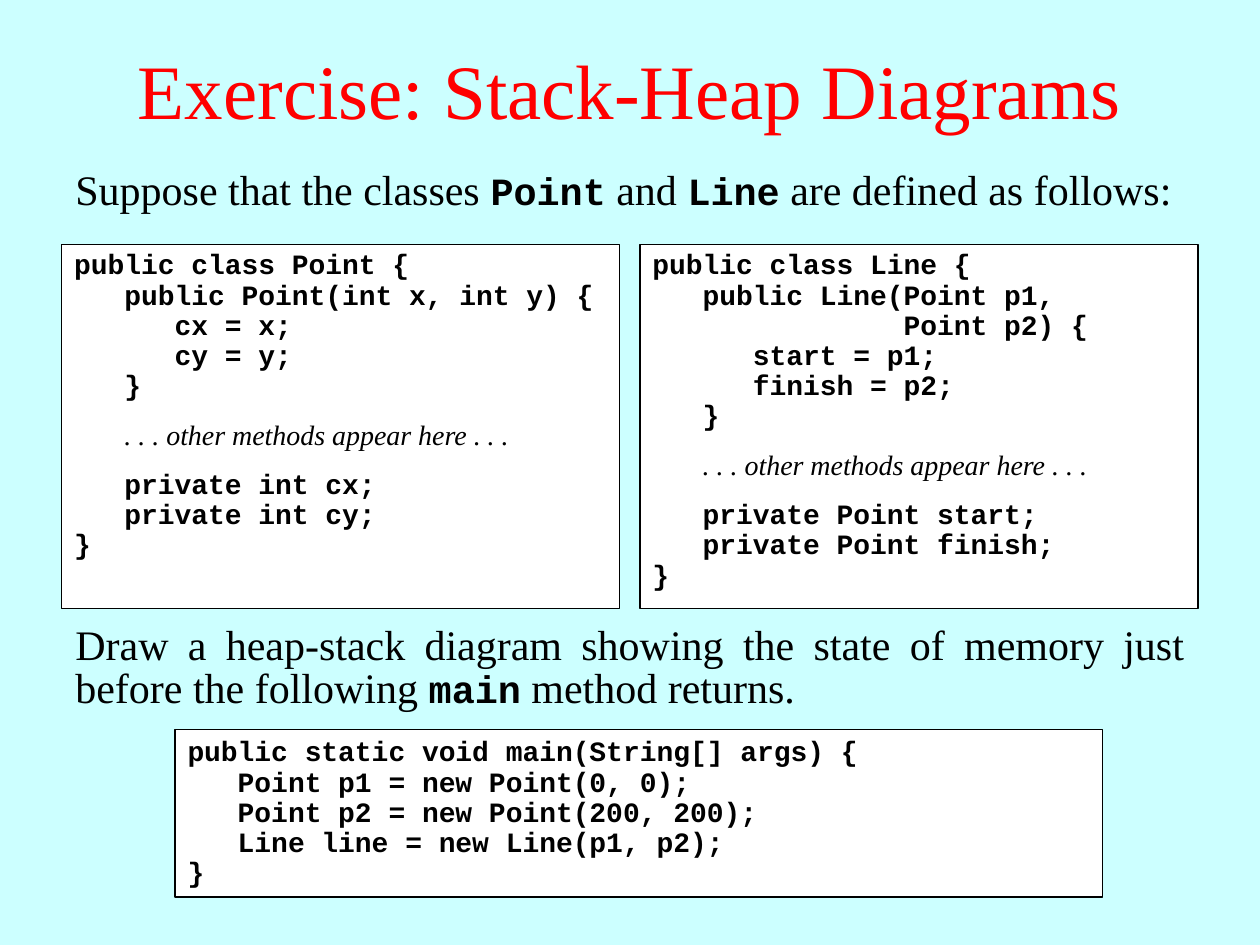
from pptx import Presentation
from pptx import util as u
from pptx.dml.color import RGBColor
from pptx.enum import shapes, text

SERIF, MONO = "Times New Roman", "Courier New"
BLACK, WHITE, RED, PALE_CYAN = "000000", "FFFFFF", "FF0000", "CCFFFF"
ELLIPSIS = ". . . other methods appear here . . ."

POINT_CLASS = """public class Point {
   public Point(int x, int y) {
      cx = x;
      cy = y;
   }
   . . . other methods appear here . . .
   private int cx;
   private int cy;
}"""

LINE_CLASS = """public class Line {
   public Line(Point p1,
               Point p2) {
      start = p1;
      finish = p2;
   }
   . . . other methods appear here . . .
   private Point start;
   private Point finish;
}"""

MAIN_METHOD = """public static void main(String[] args) {
   Point p1 = new Point(0, 0);
   Point p2 = new Point(200, 200);
   Line line = new Line(p1, p2);
}"""


def color(value):
    """Turn a hex string into a colour."""
    return RGBColor.from_string(value)


def set_font(font, name, size, bold=False, fill=BLACK):
    """Set face, size, weight and colour of a font."""
    font.name, font.size, font.bold = name, u.Pt(size), bold
    font.color.rgb = color(fill)


def add_text_box(slide, box, anchor):
    """Add a wrapping text box and return its text frame."""
    frame = slide.shapes.add_textbox(*map(u.Inches, box)).text_frame
    frame.word_wrap = True
    frame.vertical_anchor = anchor
    return frame


def add_title(slide, box, title):
    """Place the centred red title in the box."""
    paragraph = add_text_box(slide, box, text.MSO_ANCHOR.MIDDLE).paragraphs[0]
    paragraph.text = title
    paragraph.alignment = text.PP_ALIGN.CENTER
    set_font(paragraph.font, SERIF, 44, fill=RED)


def add_prose(slide, box, parts, spacing=1.0):
    """Place a justified paragraph whose odd parts are code words."""
    paragraph = add_text_box(slide, box, text.MSO_ANCHOR.TOP).paragraphs[0]
    paragraph.alignment = text.PP_ALIGN.JUSTIFY
    paragraph.line_spacing = spacing
    for index, part in enumerate(parts):
        run = paragraph.add_run()
        run.text = part
        if index % 2:
            set_font(run.font, MONO, 22, bold=True)
        else:
            set_font(run.font, SERIF, 24)


def add_code(slide, box, code, anchor=text.MSO_ANCHOR.TOP):
    """Place a framed white panel with one paragraph per code line."""
    shape = slide.shapes.add_shape(shapes.MSO_SHAPE.RECTANGLE, *map(u.Inches, box))
    shape.shadow.inherit = False
    shape.fill.solid()
    shape.fill.fore_color.rgb = color(WHITE)
    shape.line.color.rgb = color(BLACK)
    shape.line.width = u.Pt(0.75)
    frame = shape.text_frame
    frame.word_wrap = True
    frame.vertical_anchor = anchor
    for index, line in enumerate(code.split("\n")):
        paragraph = frame.add_paragraph() if index else frame.paragraphs[0]
        paragraph.alignment = text.PP_ALIGN.LEFT
        paragraph.line_spacing = 0.9
        set_font(paragraph.font, MONO, 16, bold=True)
        if ELLIPSIS in line:
            paragraph.space_before = paragraph.space_after = u.Pt(11)
            indent, remark = paragraph.add_run(), paragraph.add_run()
            indent.text = line.replace(ELLIPSIS, "")
            set_font(indent.font, MONO, 16, bold=True)
            remark.text = ELLIPSIS
            set_font(remark.font, SERIF, 16)
            remark.font.italic = True
        else:
            paragraph.text = line


def add_class_panels(slide, box, classes, gap):
    """Place the class definitions side by side in equal columns."""
    left, top, width, height = box
    column = (width - gap * (len(classes) - 1)) / len(classes)
    for index, code in enumerate(classes):
        add_code(slide, (left + index * (column + gap), top, column, height), code)


def main():
    """Build the slide and save it."""
    presentation = Presentation()
    presentation.slide_width, presentation.slide_height = u.Inches(10), u.Inches(7.5)
    slide = presentation.slides.add_slide(presentation.slide_layouts[6])
    slide.background.fill.solid()
    slide.background.fill.fore_color.rgb = color(PALE_CYAN)
    add_title(slide, (0, 0.08, 10, 1.25), "Exercise: Stack-Heap Diagrams")
    add_prose(slide, (0.5, 1.25, 9, 0.5),
              ["Suppose that the classes ", "Point", " and ", "Line",
               " are defined as follows:"])
    add_class_panels(slide, (0.49, 1.94, 9.02, 2.89), [POINT_CLASS, LINE_CLASS], 0.16)
    add_prose(slide, (0.5, 4.92, 9, 0.78),
              ["Draw a heap-stack diagram showing the state of memory just before "
               "the following ", "main", " method returns."], 0.85)
    add_code(slide, (1.39, 5.79, 7.36, 1.33), MAIN_METHOD, text.MSO_ANCHOR.MIDDLE)
    presentation.save("out.pptx")


if __name__ == "__main__":
    main()
